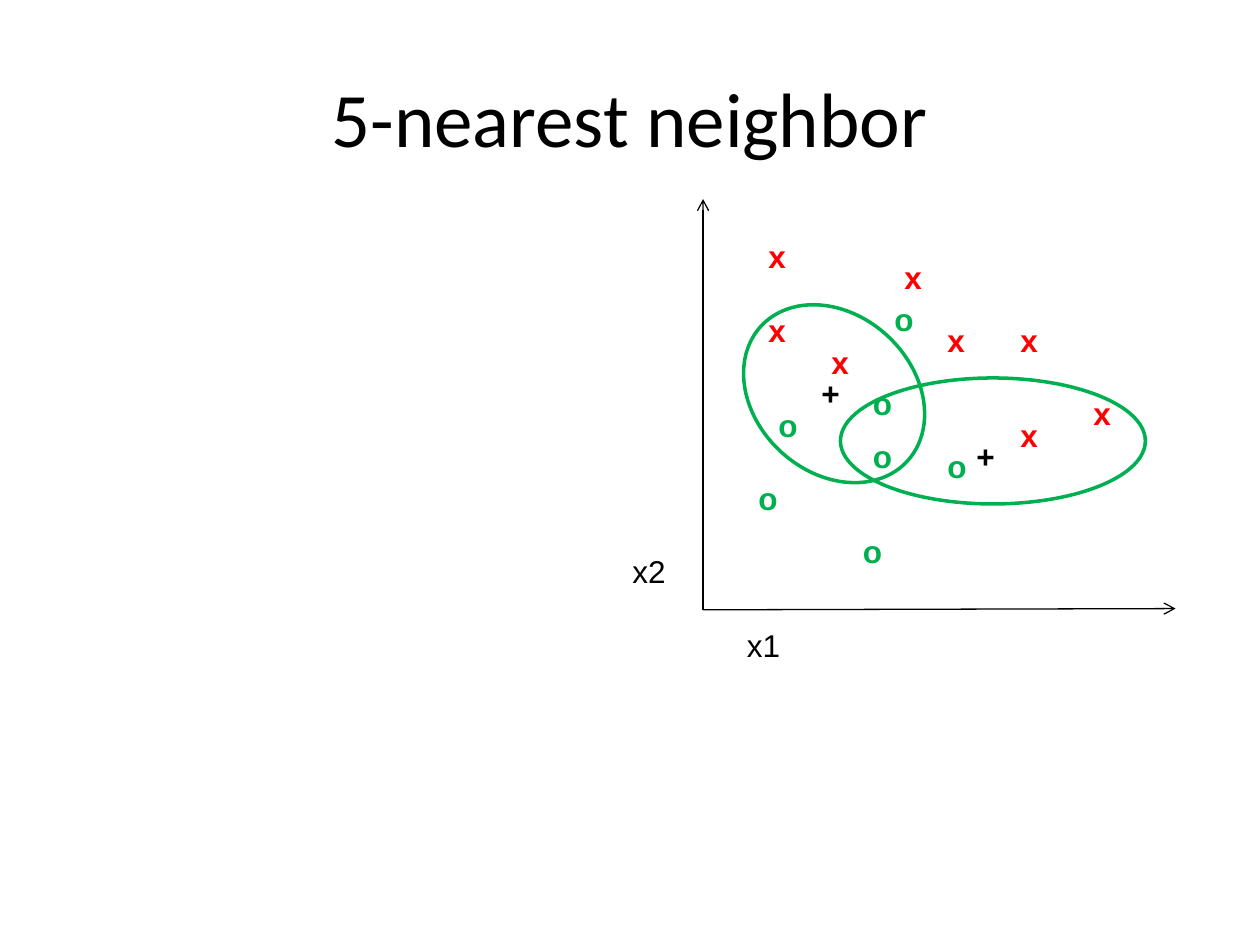
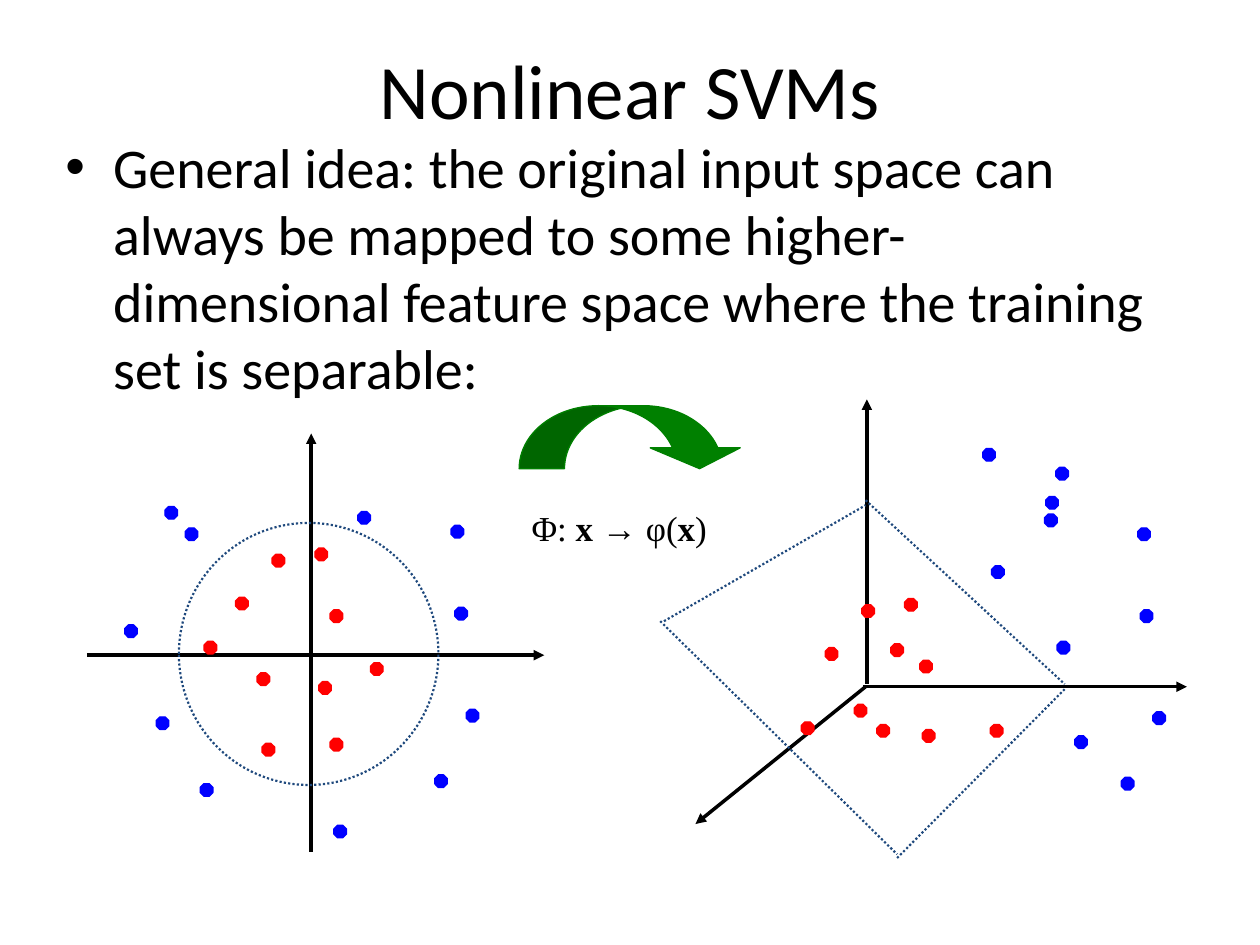
from dataclasses import dataclass

from lxml.etree import SubElement
from pptx import Presentation
from pptx.dml.color import RGBColor
from pptx.enum.dml import MSO_LINE
from pptx.enum.shapes import MSO_CONNECTOR, MSO_SHAPE
from pptx.enum.text import MSO_ANCHOR, MSO_AUTO_SIZE, PP_ALIGN
from pptx.oxml.ns import qn
from pptx.util import Pt

PX = 9144


@dataclass(frozen=True)
class Theme:
    """Colours, fonts and sizes shared by the slides."""
    ink: str = "000000"
    red: str = "FF0000"
    green: str = "00B050"
    blue: str = "0000FF"
    arrow_green: str = "008000"
    navy: str = "1F497D"
    heading_font: str = "Calibri"
    label_font: str = "Arial"
    math_font: str = "Times New Roman"
    title_size: int = 44
    body_size: int = 32
    math_size: int = 20
    label_size: int = 18
    thin: float = 0.75
    dotted: float = 1.25
    thick: float = 2


def add_run(p, text, *, font, size, color, bold=False):
    """Append a formatted run to a paragraph."""
    r = p.add_run()
    r.text = text
    r.font.name = font
    r.font.size = Pt(size)
    r.font.bold = bold
    r.font.color.rgb = RGBColor.from_string(color)


class Deck:
    """Draws elements on the current slide in one style."""

    def __init__(self, prs, theme):
        self.prs, self.theme, self.s = prs, theme, None

    def slide(self, title, top):
        """Start a slide with its title."""
        t = self.theme
        self.s = self.prs.slides.add_slide(self.prs.slide_layouts[5])
        sp = self.s.shapes.title
        sp.left, sp.top, sp.width, sp.height = (v * PX for v in (50, top, 900, 125))
        tf = sp.text_frame
        tf.vertical_anchor = MSO_ANCHOR.MIDDLE
        p = tf.paragraphs[0]
        p.alignment = PP_ALIGN.CENTER
        add_run(p, title, font=t.heading_font, size=t.title_size, color=t.ink)

    def text(self, x, y, w, h, wrap=True):
        """Add a text box and return its first paragraph."""
        tf = self.s.shapes.add_textbox(x * PX, y * PX, w * PX, h * PX).text_frame
        tf.word_wrap = wrap
        tf.auto_size = MSO_AUTO_SIZE.NONE if wrap else MSO_AUTO_SIZE.SHAPE_TO_FIT_TEXT
        return tf.paragraphs[0]

    def label(self, text, x, y, color, w=35, bold=True):
        """Add a short label of the scatter plot."""
        t = self.theme
        p = self.text(x, y, w, 40, wrap=False)
        add_run(p, text, font=t.label_font, size=t.label_size, color=color, bold=bold)

    def bullet(self, text, x, y, w, h):
        """Add a box with one bulleted paragraph."""
        t = self.theme
        p = self.text(x, y, w, h)
        pPr = p._p.get_or_add_pPr()
        pPr.set("marL", str(38 * PX))
        pPr.set("indent", str(-38 * PX))
        SubElement(pPr, qn("a:buFont"), typeface="Arial")
        SubElement(pPr, qn("a:buChar"), char="•")
        add_run(p, text, font=t.heading_font, size=t.body_size, color=t.ink)

    def shape(self, kind, x, y, w, h, *, line, width, fill=None, dotted=False, rotation=0):
        """Add a preset shape."""
        sp = self.s.shapes.add_shape(kind, x * PX, y * PX, w * PX, h * PX)
        sp.shadow.inherit = False
        sp.rotation = rotation
        if fill:
            sp.fill.solid()
            sp.fill.fore_color.rgb = RGBColor.from_string(fill)
        else:
            sp.fill.background()
        self.stroke(sp.line, line, width, dotted)
        return sp

    def stroke(self, line, color, width, dotted=False):
        """Format an outline or a connector line."""
        line.color.rgb = RGBColor.from_string(color)
        line.width = Pt(width)
        if dotted:
            line.dash_style = MSO_LINE.ROUND_DOT

    def line(self, start, end, color, width, head=None, dotted=False):
        """Add a straight line, with an arrowhead at its end if one is named."""
        points = (v * PX for v in (*start, *end))
        c = self.s.shapes.add_connector(MSO_CONNECTOR.STRAIGHT, *points)
        self.stroke(c.line, color, width, dotted)
        if head:
            SubElement(c.line._get_or_add_ln(), qn("a:tailEnd"), type=head)
        SubElement(c._element.spPr, qn("a:effectLst"))

    def dots(self, color, points):
        """Add the sample points of one class."""
        for x, y in points:
            self.shape(MSO_SHAPE.OCTAGON, x, y, 10, 10,
                       fill=color, line=color, width=self.theme.thin)


def neighbor_slide(d):
    """Build the nearest neighbor plot."""
    t = d.theme
    d.slide("5-nearest neighbor", 30)
    marks = {
        ("x", t.red): [(742, 250), (800, 250), (800, 325), (858, 308),
                       (600, 183), (600, 242), (708, 200), (650, 267)],
        ("o", t.green): [(700, 233), (742, 350), (592, 375), (608, 317),
                         (675, 417), (683, 342), (683, 300)],
        ("+", t.ink): [(642, 292), (765, 342)],
    }
    for (mark, color), points in marks.items():
        for x, y in points:
            d.label(mark, x, y, color)
    origin = (558, 484)
    for end in ((558, 158), (933, 483)):
        d.line(origin, end, t.ink, t.thin, head="arrow")
    for name, x, y in (("x2", 492, 433), ("x1", 583, 492)):
        d.label(name, x, y, t.ink, w=47, bold=False)
    d.shape(MSO_SHAPE.OVAL, 583, 250, 158, 125, line=t.green, width=t.thick, rotation=42.8)
    d.shape(MSO_SHAPE.OVAL, 667, 300, 242, 100, line=t.green, width=t.thick)


def svm_slide(d):
    """Build the feature space mapping diagram."""
    t = d.theme
    d.slide("Nonlinear SVMs", 8)
    d.bullet("General idea: the original input space can always be mapped to some "
             "higher-dimensional feature space where the training set is separable:",
             42, 100, 883, 575)

    axes = [((247, 676), (247, 344)), ((69, 520), (432, 520)),
            ((688, 543), (688, 317)), ((685, 545), (942, 545)), ((687, 545), (552, 654))]
    for start, end in axes:
        d.line(start, end, t.ink, t.thick, head="triangle")

    input_inside = [(250, 435), (187, 474), (204, 534), (262, 586), (216, 440),
                    (162, 509), (208, 590), (262, 484), (294, 526), (253, 541)]
    input_outside = [(361, 482), (345, 615), (99, 496), (265, 655), (370, 563), (159, 622),
                     (124, 569), (131, 402), (284, 406), (147, 419), (358, 417)]
    feature_inside = [(718, 475), (655, 514), (696, 575), (786, 575), (684, 480),
                      (707, 511), (732, 579), (730, 524), (678, 559), (636, 573)]
    feature_outside = [(905, 484), (890, 617), (838, 371), (839, 509), (915, 565), (787, 449),
                       (853, 584), (830, 394), (829, 408), (780, 356), (903, 419)]
    d.dots(t.red, input_inside + feature_inside)
    d.dots(t.blue, input_outside + feature_outside)

    d.shape(MSO_SHAPE.OVAL, 142, 415, 206, 208, line=t.navy, width=t.dotted, dotted=True)
    plane_edges = [((687, 397), (845, 543)), ((712, 681), (845, 547)),
                   ((527, 493), (687, 401)), ((524, 493), (712, 678))]
    for start, end in plane_edges:
        d.line(start, end, t.navy, t.dotted, dotted=True)

    arrow = d.shape(MSO_SHAPE.CURVED_DOWN_ARROW, 412, 322, 179, 50,
                    fill=t.arrow_green, line=t.arrow_green, width=t.thin)
    for i, value in enumerate((0.72, 1.43, 0.33)):
        arrow.adjustments[i] = value
    p = d.text(412, 397, 208, 43)
    for text, bold in (("Φ: ", False), ("x → ", True), ("φ(", False), ("x", True), (")", False)):
        add_run(p, text, font=t.math_font, size=t.math_size, color=t.ink, bold=bold)


def main():
    """Build and save the slides."""
    prs = Presentation()
    prs.slide_width, prs.slide_height = 1000 * PX, 750 * PX
    d = Deck(prs, Theme())
    neighbor_slide(d)
    svm_slide(d)
    prs.save("out.pptx")


if __name__ == "__main__":
    main()
